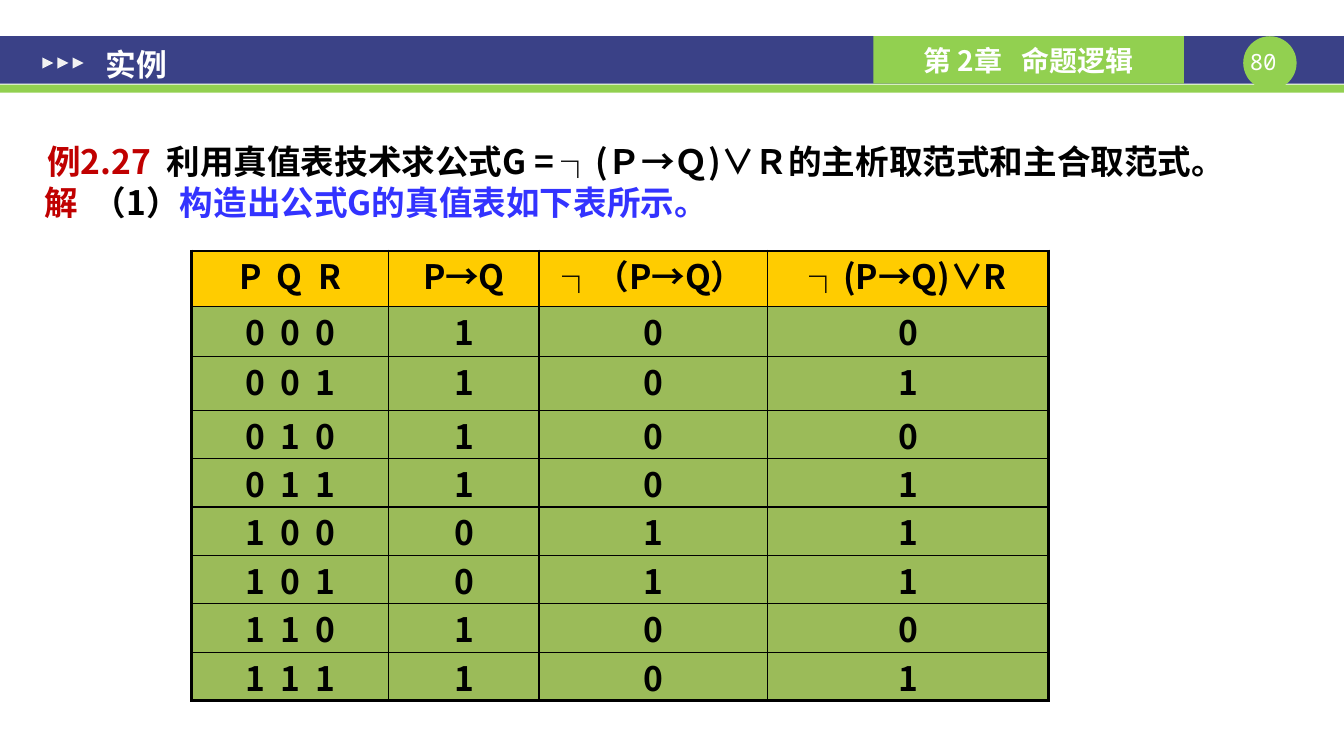
import itertools

import lxml.etree
import pptx
import pptx.dml.color
import pptx.enum.shapes
import pptx.enum.text
import pptx.oxml.ns
import pptx.util

Inches = pptx.util.Inches
Shape = pptx.enum.shapes.MSO_SHAPE
Align = pptx.enum.text.PP_ALIGN
Anchor = pptx.enum.text.MSO_ANCHOR

COLORS = {
    "white": "FFFFFF", "black": "000000", "navy": "3A4187", "lime": "92D050",
    "arrow": "F2F2F2", "red": "C00000", "blue": "3333FF",
    "header": "FFCC00", "body": "9BBB59",
}
SANS = "Noto Sans CJK SC"
MONO = "Noto Sans Mono"
COLUMN_WIDTHS = [1.96, 1.49, 2.27, 2.79]
ROW_HEIGHTS = [0.55, 0.5, 0.53] + [0.48] * 6


def color(name):
    """Return the named colour."""
    return pptx.dml.color.RGBColor.from_string(COLORS[name])


def write(para, spans, size, font=SANS, bold=True, align=Align.LEFT):
    """Fill a paragraph with (text, colour) spans in one font."""
    para.alignment = align
    para.font.size = pptx.util.Pt(size)
    para.font.bold = bold
    para.font.name = font
    defaults = para._p.pPr.find(pptx.oxml.ns.qn("a:defRPr"))
    lxml.etree.SubElement(defaults, pptx.oxml.ns.qn("a:ea"), typeface=font)
    for text, name in spans:
        span = para.add_run()
        span.text = text
        span.font.color.rgb = color(name)


def add_block(page, kind, box, fill):
    """Add a plain filled shape."""
    block = page.shapes.add_shape(kind, *map(Inches, box))
    block.shadow.inherit = False
    block.fill.solid()
    block.fill.fore_color.rgb = color(fill)
    block.line.fill.background()
    return block


def add_text(page, box, spans, size, margins=(0.13, 0.07), anchor=Anchor.TOP, **style):
    """Add a wrapping text box and return its paragraph."""
    frame = page.shapes.add_textbox(*map(Inches, box)).text_frame
    frame.word_wrap = True
    frame.vertical_anchor = anchor
    frame.margin_left = frame.margin_right = Inches(margins[0])
    frame.margin_top = frame.margin_bottom = Inches(margins[1])
    write(frame.paragraphs[0], spans, size, **style)
    return frame.paragraphs[0]


def add_banner(page, left, top, width, height):
    """Draw the top band with title, chapter tag and page number."""
    add_block(page, Shape.RECTANGLE, (left, top, width, height), "navy")
    add_block(page, Shape.RECTANGLE, (left, top + 0.48, width, 0.08), "lime")
    add_block(page, Shape.OVAL, (left + 12.34, top, 0.53, 0.53), "lime")
    add_text(page, (left + 12.34, top + 0.12, 0.53, 0.27), [("80 ", "white")], 16,
             margins=(0, 0), font=MONO, bold=False, align=Align.CENTER)
    chapter = add_block(page, Shape.RECTANGLE, (left + 8.67, top, 3.08, height), "lime")
    chapter.text_frame.vertical_anchor = Anchor.MIDDLE
    write(chapter.text_frame.paragraphs[0], [("第 2章   命题逻辑", "white")], 20,
          align=Align.CENTER)
    for index in range(3):
        arrow = add_block(page, Shape.ISOSCELES_TRIANGLE,
                          (left + 0.42 + 0.15 * index, top + 0.21, 0.11, 0.11), "arrow")
        arrow.rotation = 90
    add_text(page, (left + 0.92, top - 0.07, 8.82, 0.69), [("实例", "white")], 22,
             anchor=Anchor.MIDDLE)


def add_problem(page, left, top, width):
    """Write the example and the first step of its solution."""
    example = add_text(page, (left, top, width, 1.22), [
        ("例2.27  ", "red"),
        ("利用真值表技术求公式G = ┐(Ｐ→Ｑ)∨Ｒ的主析取范式和主合取范式。", "black"),
    ], 24)
    example.line_spacing = 1.5
    add_text(page, (left, top + 0.63, 10.33, 0.5), [
        ("解  ", "red"), ("（1）", "black"), ("构造出公式G的真值表如下表所示。", "blue"),
    ], 24, margins=(0.1, 0.05), align=Align.JUSTIFY)


def truth_rows():
    """Return the header and the computed rows of the truth table."""
    rows = [["P  Q  R", "P→Q", "┐（P→Q）", "┐(P→Q)∨R"]]
    for p, q, r in itertools.product((0, 1), repeat=3):
        implies = int(not p or q)
        negated = 1 - implies
        rows.append([f"{p}  {q}  {r}", str(implies), str(negated), str(negated | r)])
    return rows


def add_borders(cell, thick_sides):
    """Draw black cell borders, heavier on the given sides."""
    properties = cell._tc.get_or_add_tcPr()
    for index, side in enumerate("LRTB"):
        width = pptx.util.Pt(2.25 if side in thick_sides else 1)
        line = lxml.etree.Element(pptx.oxml.ns.qn(f"a:ln{side}"), w=str(int(width)))
        fill = lxml.etree.SubElement(line, pptx.oxml.ns.qn("a:solidFill"))
        lxml.etree.SubElement(fill, pptx.oxml.ns.qn("a:srgbClr"), val=COLORS["black"])
        properties.insert(index, line)


def add_truth_table(page, left, top):
    """Draw the truth table with a heavy outer frame."""
    rows = truth_rows()
    last_row, last_column = len(ROW_HEIGHTS) - 1, len(COLUMN_WIDTHS) - 1
    table = page.shapes.add_table(
        len(ROW_HEIGHTS), len(COLUMN_WIDTHS), Inches(left), Inches(top),
        Inches(sum(COLUMN_WIDTHS)), Inches(sum(ROW_HEIGHTS))).table
    table.first_row = table.horz_banding = False
    for column, width in zip(table.columns, COLUMN_WIDTHS):
        column.width = Inches(width)
    for row, height in zip(table.rows, ROW_HEIGHTS):
        row.height = Inches(height)
    for y, texts in enumerate(rows):
        for x, text in enumerate(texts):
            cell = table.cell(y, x)
            cell.margin_left = cell.margin_right = 0
            cell.margin_top = cell.margin_bottom = 0
            cell.fill.solid()
            cell.fill.fore_color.rgb = color("body" if y else "header")
            edges = {"L": x == 0, "R": x == last_column, "T": y == 0, "B": y == last_row}
            add_borders(cell, [side for side, outer in edges.items() if outer])
            write(cell.text_frame.paragraphs[0], [(text, "black")], 24, align=Align.CENTER)


def main():
    """Build the slide and save it."""
    deck = pptx.Presentation()
    deck.slide_width, deck.slide_height = Inches(13.34), Inches(7.5)
    page = deck.slides.add_slide(deck.slide_layouts[6])
    add_banner(page, 0, 0.36, 13.34, 0.47)
    add_problem(page, 0.34, 1.13, 12.66)
    add_truth_table(page, 1.9, 2.49)
    deck.save("out.pptx")


if __name__ == "__main__":
    main()
